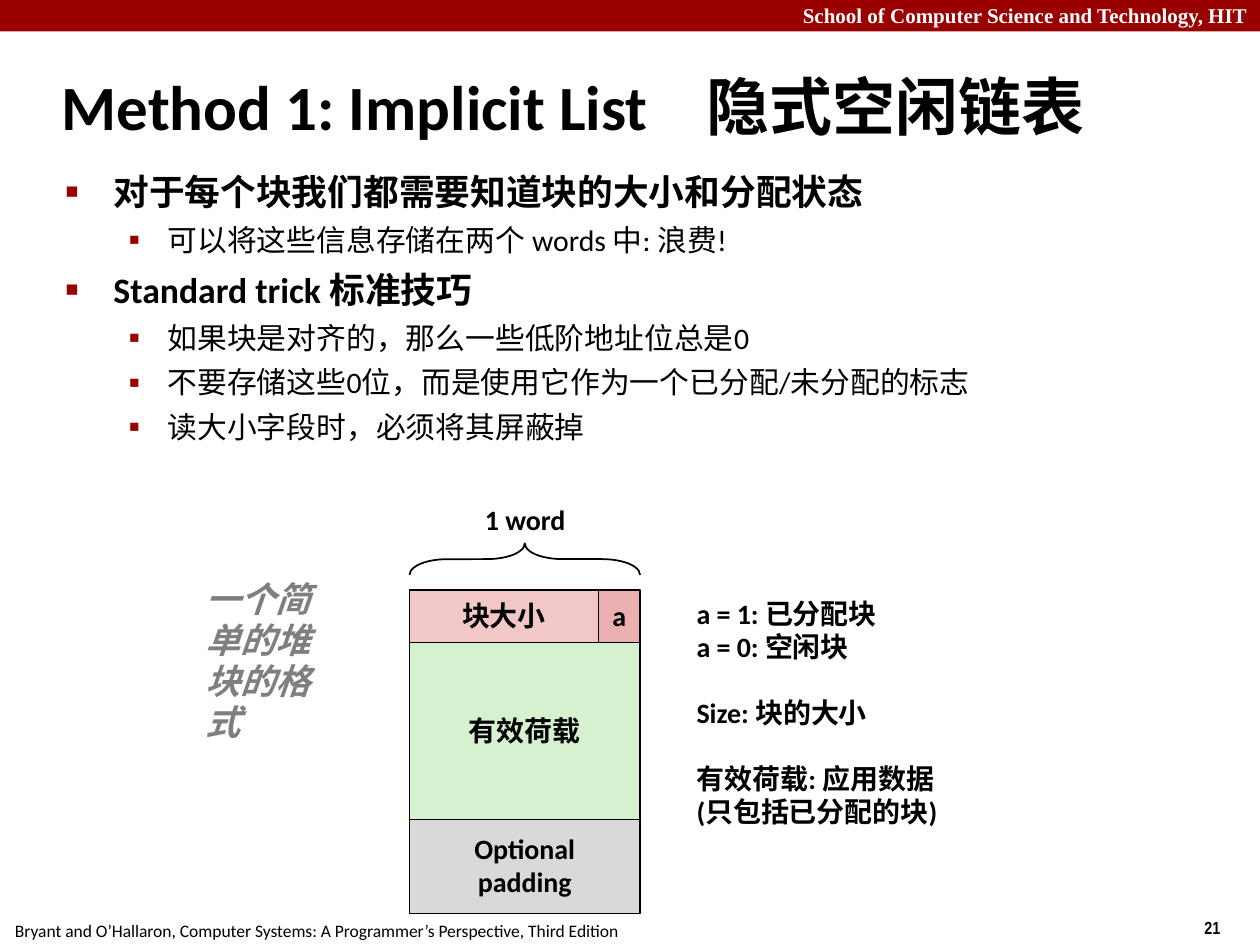
from lxml import etree
from pptx import Presentation
from pptx import util as u
from pptx.dml.color import RGBColor
from pptx.enum import shapes, text
from pptx.oxml.ns import qn

COLS, ROWS = 40, 30
FACE = "Calibri"
RED = "990000"
BLACK = "000000"

deck = Presentation()
deck.slide_width, deck.slide_height = u.Inches(10), u.Inches(7.5)
COL = deck.slide_width / COLS
ROW = deck.slide_height / ROWS


def hue(code):
    return RGBColor.from_string(code)


def span(box, x, y, w, h):
    return [round(v) for v in ((box[0] + x) * COL, (box[1] + y) * ROW, w * COL, h * ROW)]


def style(para, size, color=BLACK, bold=True, face=FACE, slant=False):
    for run in para.runs:
        font = run.font
        font.name, font.size = face, u.Pt(size)
        font.bold, font.italic = bold, slant
        font.color.rgb = hue(color)


def write(frame, words, size, align=text.PP_ALIGN.LEFT, pitch=0.98, **look):
    frame.text = words
    for para in frame.paragraphs:
        para.alignment, para.line_spacing = align, pitch
        style(para, size, **look)


def label(slide, area, words, size, wrap=False, **look):
    frame = slide.shapes.add_textbox(*area).text_frame
    frame.word_wrap = wrap
    frame.auto_size = text.MSO_AUTO_SIZE.SHAPE_TO_FIT_TEXT
    write(frame, words, size, **look)
    return frame


def block(slide, area, words, fill):
    shape = slide.shapes.add_shape(shapes.MSO_SHAPE.RECTANGLE, *area)
    shape.shadow.inherit = False
    shape.fill.solid()
    shape.fill.fore_color.rgb = hue(fill)
    shape.line.color.rgb = hue(BLACK)
    shape.line.width = u.Pt(1)
    frame = shape.text_frame
    frame.word_wrap = False
    frame.vertical_anchor = text.MSO_ANCHOR.MIDDLE
    write(frame, words, 16, align=text.PP_ALIGN.CENTER)
    return shape


def bullet(para, sign, scale):
    props = para._p.get_or_add_pPr()
    tint = etree.SubElement(props, qn("a:buClr"))
    etree.SubElement(tint, qn("a:srgbClr"), val=RED)
    etree.SubElement(props, qn("a:buSzPct"), val=str(scale * 1000))
    etree.SubElement(props, qn("a:buFont"), typeface="Arial")
    etree.SubElement(props, qn("a:buChar"), char=sign)


def tab(para, stop):
    stops = etree.SubElement(para._p.get_or_add_pPr(), qn("a:tabLst"))
    etree.SubElement(stops, qn("a:tab"), pos=str(u.Inches(stop)), algn="l")


def seat(holder, area):
    holder.left, holder.top, holder.width, holder.height = area
    holder.text_frame.auto_size = text.MSO_AUTO_SIZE.NONE
    return holder.text_frame


def banner(slide, box):
    bar = block(slide, span(box, 0, 0, COLS, 1), "", RED)
    bar.line.fill.background()
    label(slide, span(box, 0, -0.12, COLS, 1.2),
          "School of Computer Science and Technology, HIT", 12, wrap=True,
          align=text.PP_ALIGN.RIGHT, pitch=1, color="FFFFFF", face="Times New Roman")


def footer(slide, box):
    label(slide, span(box, 0.08, 0.08, 20.04, 1.08),
          "Bryant and O’Hallaron, Computer Systems: A Programmer’s Perspective, Third Edition",
          10, pitch=1, bold=False)
    label(slide, span(box, 37.84, 0, 1.5, 1.08), "21", 10, pitch=1, face="Arial Narrow")


def heading(slide, box):
    frame = seat(slide.shapes.title, span(box, 0, 0, 33.56, 2.52))
    frame.vertical_anchor = text.MSO_ANCHOR.MIDDLE
    write(frame, "Method 1: Implicit List\t隐式空闲链表", 36, pitch=1)
    tab(frame.paragraphs[0], 5.12)


def points(slide, box):
    frame = seat(slide.placeholders[1], span(box, 0, 0, 36.12, 9.44))
    items = [
        (0, "对于每个块我们都需要知道块的大小和分配状态"),
        (1, "可以将这些信息存储在两个 words 中: 浪费!"),
        (0, "Standard trick 标准技巧"),
        (1, "如果块是对齐的，那么一些低阶地址位总是0"),
        (1, "不要存储这些0位，而是使用它作为一个已分配/未分配的标志"),
        (1, "读大小字段时，必须将其屏蔽掉"),
    ]
    looks = [(20.4, 6, "■", 60, 0.38, -0.38), (17, 5, "▪", 110, 0.81, -0.31)]
    frame.text = "\n".join(words for _, words in items)
    for para, (level, _) in zip(frame.paragraphs, items):
        size, gap, sign, scale, left, hang = looks[level]
        para.level = level
        para.space_before = u.Pt(gap)
        props = para._p.get_or_add_pPr()
        props.set("marL", str(u.Inches(left)))
        props.set("indent", str(u.Inches(hang)))
        bullet(para, sign, scale)
        style(para, size, bold=level == 0)


def brace(slide, area):
    left, top, wide, high = area
    shape = slide.shapes.add_shape(
        shapes.MSO_SHAPE.LEFT_BRACE,
        left + (wide - high) // 2, top + (high - wide) // 2, high, wide)
    shape.rotation = 90
    shape.adjustments[0] = 1.2
    shape.shadow.inherit = False
    shape.fill.background()
    shape.line.color.rgb = hue(BLACK)
    shape.line.width = u.Pt(1)


def layout(slide, box):
    wide, size = 7.32, 6
    label(slide, span(box, 2, 0, 3.36, 1.44), "1 word", 16)
    brace(slide, span(box, 0, 1.45, wide, 1))
    block(slide, span(box, 0, 2.92, size, 1.68), "块大小", "F1C7C7")
    block(slide, span(box, size, 2.92, wide - size, 1.68), "a", "EBAFAF")
    block(slide, span(box, 0, 4.6, wide, 5.62), "有效荷载", "D5F1CF")
    block(slide, span(box, 0, 10.22, wide, 2.98), "Optional\npadding", "D9D9D9")


def legend(slide, box):
    frame = label(slide, span(box, 0, 0, 8.84, 8.76),
                  "a = 1: 已分配块\na = 0: 空闲块\nSize: 块的大小\n"
                  "有效荷载: 应用数据\n(只包括已分配的块)", 16)
    for para in frame.paragraphs[2:4]:
        para.space_before = u.Pt(19)


def build():
    slide = deck.slides.add_slide(deck.slide_layouts[1])
    banner(slide, (0, 0))
    footer(slide, (0, 28.92))
    heading(slide, (1.56, 2.08))
    points(slide, (1.68, 5.2))
    layout(slide, (13, 15.8))
    label(slide, span((6.12, 18.2), 0, 0, 4.44, 5.64), "一个简单的堆块的格式", 20,
          wrap=True, color="7F7F7F", slant=True)
    legend(slide, (21.72, 18.8))
    deck.save("out.pptx")


if __name__ == "__main__":
    build()
